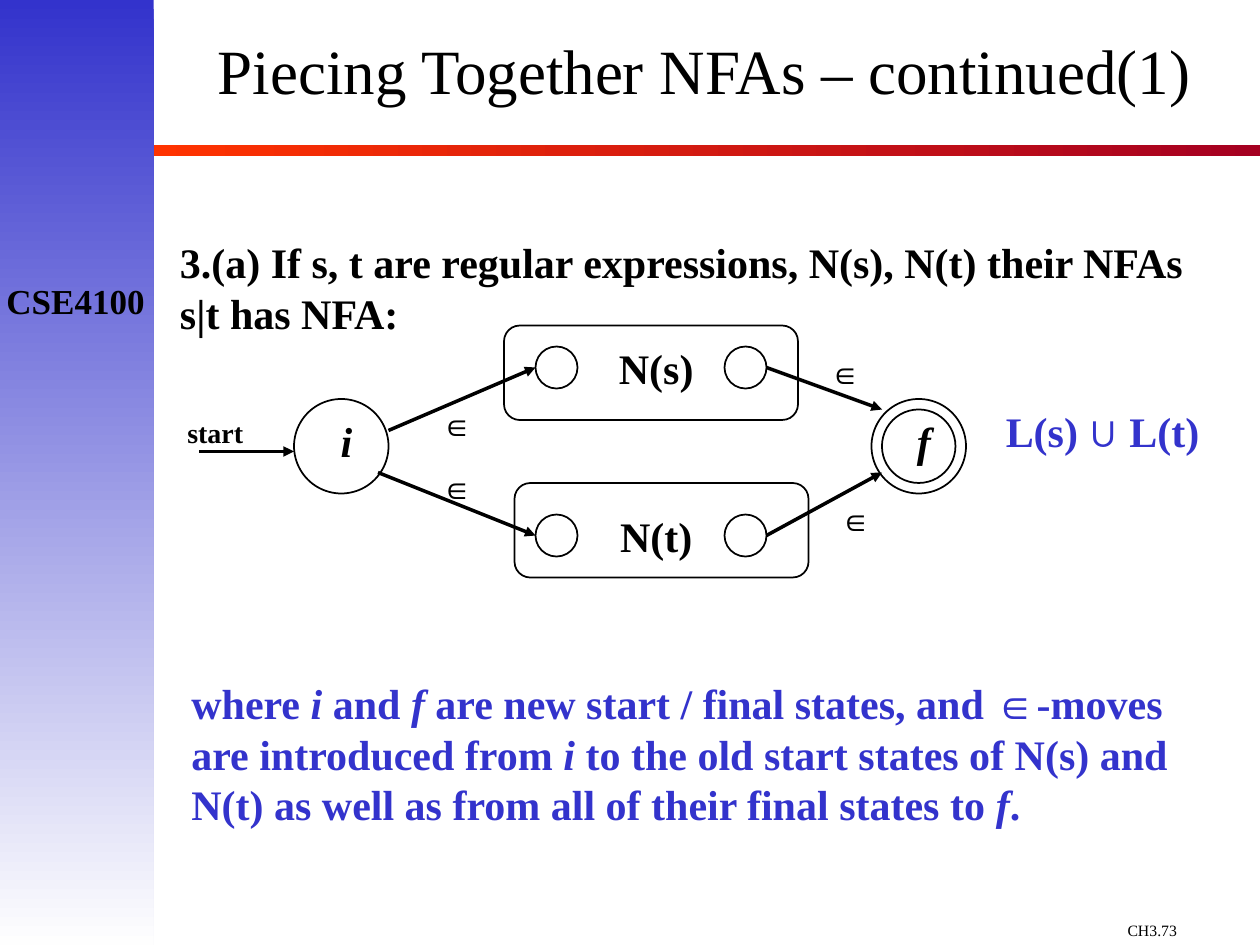
from pptx import Presentation
from pptx import util as u
from pptx.dml.color import RGBColor
from pptx.enum import shapes, text
from pptx.oxml import parse_xml
from pptx.oxml.ns import nsdecls

BLACK, BLUE = "000000", "3333CC"
SERIF, SANS = "Times New Roman", "Arial"
CENTER, LEFT = text.PP_ALIGN.CENTER, text.PP_ALIGN.LEFT
CELL = 1 / 12  # the diagram sits on a grid of twelve cells to the inch


def color(value):
    return RGBColor.from_string(value)


def inches(*values):
    return [u.Inches(v) for v in values]


def cells(*values):
    return [v * CELL for v in values]


def write(p, runs, size, ink=BLACK, bold=True, align=LEFT):
    """Fill a paragraph from (text, style) pairs; style: i italic, s sans."""
    p.alignment = align
    for words, style in runs:
        r = p.add_run()
        r.text = words
        r.font.size = u.Pt(size)
        r.font.name = SANS if "s" in style else SERIF
        r.font.bold = bold
        r.font.italic = "i" in style
        r.font.color.rgb = color(ink)


def add_text(s, box, runs, size, wrap=True, **look):
    tf = s.shapes.add_textbox(*inches(*box)).text_frame
    tf.word_wrap = wrap
    write(tf.paragraphs[0], runs, size, **look)


def add_band(s, box, start, end, angle):
    sp = s.shapes.add_shape(shapes.MSO_SHAPE.RECTANGLE, *inches(*box))
    sp.shadow.inherit = False
    sp.line.fill.background()
    sp.fill.gradient()
    sp.fill.gradient_angle = angle
    for stop, value in zip(sp.fill.gradient_stops, (start, end)):
        stop.color.rgb = color(value)


def add_outline(s, kind, box):
    sp = s.shapes.add_shape(kind, *inches(*cells(*box)))
    sp.shadow.inherit = False
    sp.fill.background()
    sp.line.color.rgb = color(BLACK)
    sp.line.width = u.Pt(1)
    return sp


def add_circle(s, x, y, size):
    add_outline(s, shapes.MSO_SHAPE.OVAL, (x, y, size, size))


def add_arrow(s, *ends):
    c = s.shapes.add_connector(shapes.MSO_CONNECTOR.STRAIGHT,
                               *inches(*cells(*ends)))
    c.line.color.rgb = color(BLACK)
    c.line.width = u.Pt(2)
    c.line._get_or_add_ln().append(
        parse_xml(f'<a:tailEnd {nsdecls("a")} type="triangle"/>'))
    c._element.spPr.append(parse_xml(f'<a:effectLst {nsdecls("a")}/>'))


def add_frame(s):
    """Side band, rule under the title, course name and page number."""
    add_band(s, (1.2, 1.15, 8.8, 0.09), "FF3300", "A50021", 0)
    add_band(s, (0, 0, 1.22, 7.5), BLUE, "FEFEFE", 270)
    add_text(s, (8.85, 7.26, 1.15, 0.24), [("CH3.73", "")], 9, bold=False)
    add_text(s, (-0.05, 2.17, 1.3, 0.44), [("CSE4100", "")], 20,
             wrap=False, align=CENTER)


def add_title(s, box, words):
    sp = s.shapes.title
    sp.left, sp.top, sp.width, sp.height = inches(*box)
    tf = sp.text_frame
    tf.auto_size = text.MSO_AUTO_SIZE.NONE
    tf.vertical_anchor = text.MSO_ANCHOR.MIDDLE
    p = tf.paragraphs[0]
    p.line_spacing = 0.8
    write(p, [(words, "")], 36, bold=False, align=CENTER)


def add_machine(s, x, y, name):
    """Inner NFA: rounded frame, start and final states, name."""
    sp = add_outline(s, shapes.MSO_SHAPE.ROUNDED_RECTANGLE, (x, y, 28, 9))
    sp.adjustments[0] = 0.167
    row = 33 if name == "N(s)" else 49
    for column in (51, 69):
        add_circle(s, column, row, 4)
    add_text(s, cells(57, row - 1, 11, 6), [(name, "")], 24, align=CENTER)


def add_diagram(s):
    # New start state
    add_text(s, cells(16, 39, 9, 4.4), [("start", "")], 16, align=CENTER)
    add_circle(s, 28, 38, 9)
    add_text(s, cells(30, 39, 6, 6), [("i", "i")], 24, align=CENTER)
    # New final state
    add_circle(s, 83, 38, 9)
    add_circle(s, 84, 39, 7)
    add_text(s, cells(85, 39, 6, 6), [("f", "i")], 24, align=CENTER)
    # Inner machines
    add_machine(s, 48, 31, "N(s)")
    add_machine(s, 49, 46, "N(t)")
    # Moves and their labels
    for ends in ((19, 43, 28, 43), (37, 41, 51, 35), (36, 45, 51, 51),
                 (73, 35, 84, 39), (73, 51, 84, 45)):
        add_arrow(s, *ends)
    for x, y in ((40, 38), (40, 44), (77, 33), (78, 47)):
        add_text(s, cells(x, y, 7, 4.8), [("∈", "s")], 18, align=CENTER)
    # Resulting language
    add_text(s, cells(94, 38, 22, 6),
             [("L(s) ", ""), ("∪", "s"), (" L(t)", "")], 24,
             ink=BLUE, align=CENTER)


def main():
    prs = Presentation()
    prs.slide_width, prs.slide_height = inches(10, 7.5)
    s = prs.slides.add_slide(prs.slide_layouts.get_by_name("Title Only"))
    add_frame(s)
    add_title(s, (1.18, 0, 8.82, 1.22), "Piecing Together NFAs – continued(1)")
    add_text(s, (1.33, 1.83, 8.33, 0.9),
             [("3.(a) If s, t are regular expressions, N(s), N(t) their NFAs "
               "s|t has NFA:", "")], 24)
    add_diagram(s)
    add_text(s, (1.42, 5.33, 8.25, 1.3), [
        ("where ", ""), ("i", "i"), (" and ", ""), ("f", "i"),
        (" are new start / final states, and ", ""), ("∈", "s"),
        ("-moves are introduced from ", ""), ("i", "i"),
        (" to the old start states of N(s) and N(t) as well as from all of "
         "their final states to ", ""), ("f", "i"), (".", "")], 24, ink=BLUE)
    prs.save("out.pptx")


if __name__ == "__main__":
    main()
